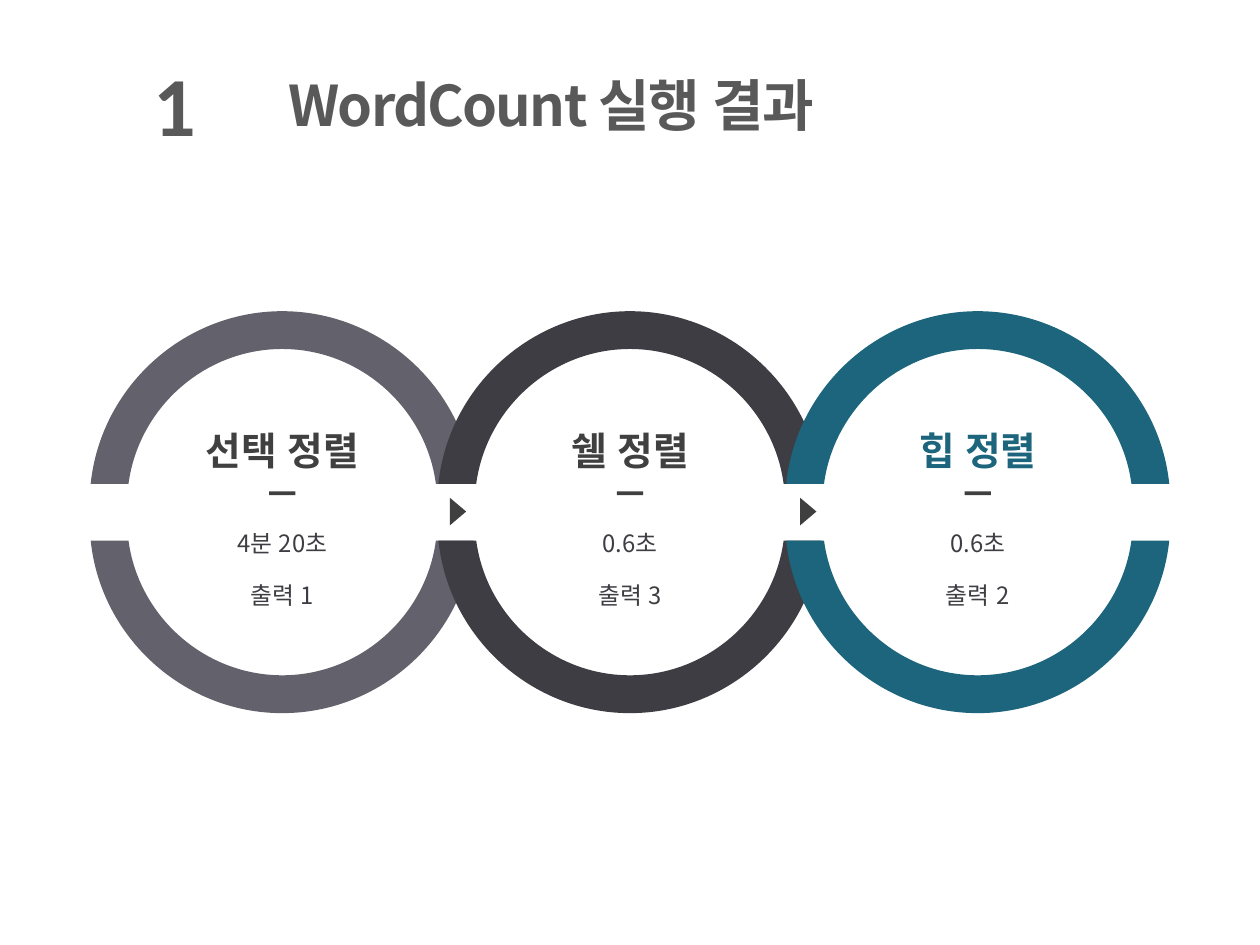
"""Build a slide comparing the run results of three sorting methods."""
from dataclasses import dataclass

from pptx import Presentation
from pptx.dml.color import RGBColor
from pptx.enum.lang import MSO_LANGUAGE_ID
from pptx.enum.shapes import MSO_SHAPE
from pptx.enum.text import MSO_ANCHOR, PP_ALIGN
from pptx.oxml.ns import qn
from pptx.util import Inches, Pt


@dataclass(frozen=True)
class Theme:
    korean: str = "Noto Sans CJK KR"
    latin: str = "Calibri"
    heading: str = "595959"
    mark: str = "3F3F3F"
    label: str = "404040"
    body: str = "3E3D43"
    gray: str = "63616B"
    dark: str = "3E3D43"
    teal: str = "1C657C"
    white: str = "FFFFFF"
    number_size: float = 48
    title_size: float = 32
    label_size: float = 22.1
    body_size: float = 13.6


THEME = Theme()
FIRST_CENTER, PITCH = 2.24, 2.76
UPPER_EDGE, LOWER_EDGE, ARROW_MIDDLE = 3.84, 4.29, 4.06
OUTER_ARC = ((-1.52, 0), (-1.44, 0.77), (-0.78, 1.37), (0, 1.37))
INNER_ARC = ((-1.22, 0), (-1.14, 0.6), (-0.62, 1.07), (0, 1.07))


def paint(shape, color):
    shape.shadow.inherit = False
    shape.fill.solid()
    shape.fill.fore_color.rgb = RGBColor.from_string(color)
    shape.line.fill.background()


def add_block(slide, preset, center, top, width, height, color):
    block = slide.shapes.add_shape(
        preset, Inches(center - width / 2), Inches(top), Inches(width), Inches(height))
    paint(block, color)


def add_outline(slide, points, color):
    start, *rest = [(Inches(x), Inches(y)) for x, y in points]
    builder = slide.shapes.build_freeform(*start)
    builder.add_line_segments(rest, close=True)
    outline = builder.convert_to_shape()
    paint(outline, color)
    return outline


def mirror_arc(controls):
    return list(controls) + [(-x, y) for x, y in reversed(controls[:-1])]


def bend_segments(outline):
    segments = list(outline._element.iter(qn("a:lnTo")))
    for first in (0, 3, 7, 10):
        curve = outline._element.makeelement(qn("a:cubicBezTo"), {})
        segments[first].addprevious(curve)
        for segment in segments[first:first + 3]:
            curve.append(segment[0])
            segment.getparent().remove(segment)


def add_ring(slide, center, color):
    band = mirror_arc(OUTER_ARC) + mirror_arc(INNER_ARC)[::-1]
    for edge, side in ((LOWER_EDGE, 1), (UPPER_EDGE, -1)):
        half = add_outline(slide, [(center + x, edge + side * y) for x, y in band], color)
        bend_segments(half)


def add_arrow(slide, left):
    add_outline(slide, [(left, ARROW_MIDDLE - 0.11), (left + 0.13, ARROW_MIDDLE),
                        (left, ARROW_MIDDLE + 0.11)], THEME.mark)


def add_text(slide, text, box, size, color, font=THEME.korean, bold=False,
             align=PP_ALIGN.CENTER, anchor=MSO_ANCHOR.TOP, space_before=0):
    frame = slide.shapes.add_textbox(*map(Inches, box)).text_frame
    frame.word_wrap = True
    frame.vertical_anchor = anchor
    paragraph = frame.paragraphs[0]
    paragraph.alignment = align
    paragraph.space_before = Pt(space_before)
    run = paragraph.add_run()
    run.text = text
    run.font.size = Pt(size)
    run.font.bold = bold
    run.font.name = font
    run.font.language_id = MSO_LANGUAGE_ID.KOREAN
    run.font.color.rgb = RGBColor.from_string(color)
    properties = run.font._element
    east_asian = properties.makeelement(qn("a:ea"), {"typeface": font})
    properties.find(qn("a:latin")).addnext(east_asian)
    return paragraph


def add_heading(slide):
    title = add_text(slide, "WordCount 실행 결과", (2.19, 0.43, 7.34, 0.86), THEME.title_size,
                     THEME.heading, bold=True, align=PP_ALIGN.LEFT, anchor=MSO_ANCHOR.MIDDLE)
    title.line_spacing = 0.9
    title.runs[0].font._element.set("spc", "-100")
    add_text(slide, "1", (1.12, 0.61, 0.35, 0.41), THEME.number_size, THEME.heading,
             font=THEME.latin, bold=True, anchor=MSO_ANCHOR.MIDDLE)


def add_result(slide, center, name, name_width, name_color, time, time_width, output):
    add_block(slide, MSO_SHAPE.OVAL, center, 2.99, 2.19, 2.19, THEME.white)
    add_block(slide, MSO_SHAPE.RECTANGLE, center, 3.9, 0.21, 0.03, THEME.mark)
    add_text(slide, time, (center - time_width / 2, 4.15, time_width, 0.33),
             THEME.body_size, THEME.body)
    add_text(slide, name, (center - name_width / 2, 3.34, name_width, 0.47),
             THEME.label_size, name_color, bold=True, space_before=1.7)
    add_text(slide, output, (center - 0.38, 4.56, 0.76, 0.33), THEME.body_size, THEME.body)


def main():
    presentation = Presentation()
    presentation.slide_width, presentation.slide_height = Inches(10), Inches(7.5)
    slide = presentation.slides.add_slide(presentation.slide_layouts[6])
    add_heading(slide)
    for left in (3.57, 6.35):
        add_arrow(slide, left)
    centers = [FIRST_CENTER + PITCH * index for index in range(3)]
    for center, color in zip(centers, (THEME.gray, THEME.dark, THEME.teal)):
        add_ring(slide, center, color)
    results = (
        ("선택 정렬", 1.55, THEME.label, "4분 20초", 0.97, "출력 1"),
        ("쉘 정렬", 1.24, THEME.label, "0.6초", 0.65, "출력 3"),
        ("힙 정렬", 1.24, THEME.teal, "0.6초", 0.65, "출력 2"),
    )
    for center, result in zip(centers, results):
        add_result(slide, center, *result)
    presentation.save("out.pptx")


if __name__ == "__main__":
    main()
